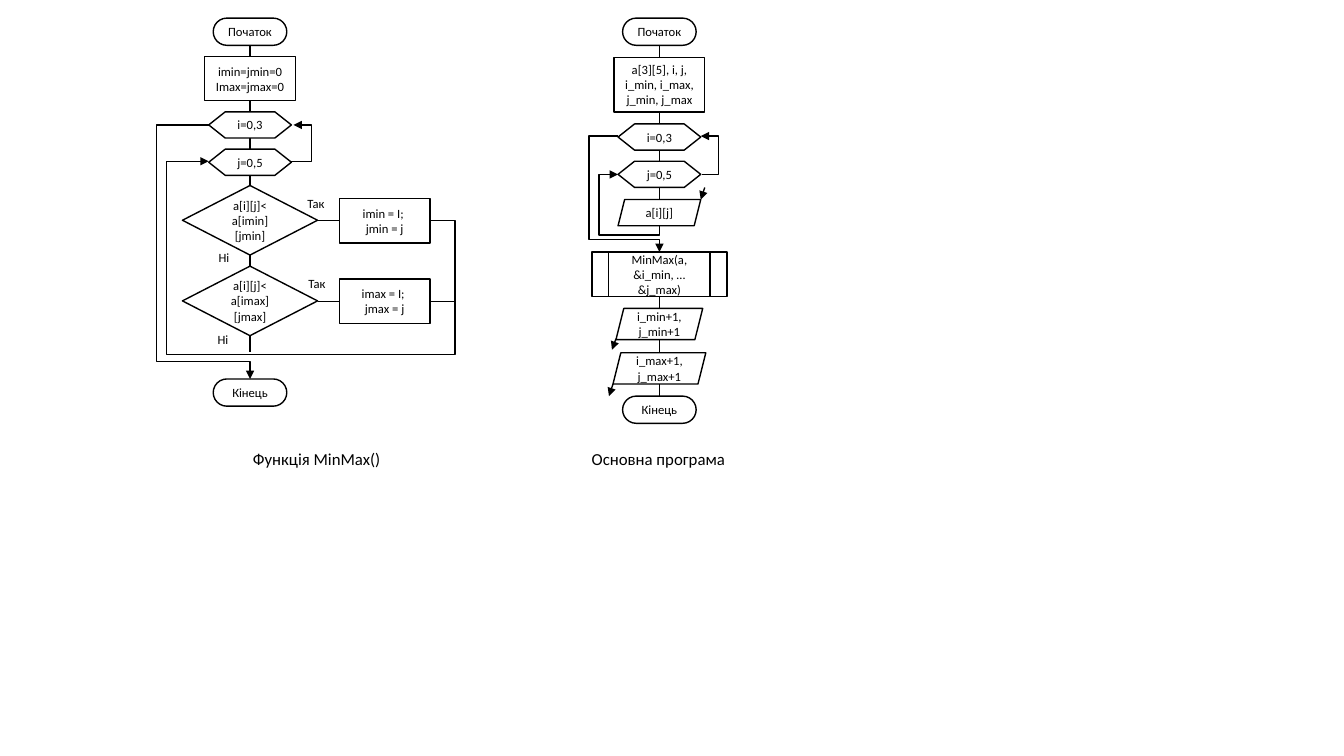
from lxml.etree import SubElement
from pptx import Presentation
from pptx.dml.color import RGBColor
from pptx.enum.shapes import MSO_CONNECTOR, MSO_SHAPE
from pptx.enum.text import MSO_ANCHOR, MSO_AUTO_SIZE, PP_ALIGN
from pptx.oxml.ns import qn
from pptx.util import Inches, Pt

BLACK = RGBColor(0x00, 0x00, 0x00)
WHITE = RGBColor(0xFF, 0xFF, 0xFF)
FONT = "Calibri"

# The grid has 100 steps to the inch; both flowcharts hang on a vertical axis
STEP = Inches(0.01)
FUNCTION_AXIS = 248
ACTION_AXIS = 381.5
MAIN_AXIS = 654

TERMINAL = MSO_SHAPE.ROUNDED_RECTANGLE
PROCESS = MSO_SHAPE.RECTANGLE
LOOP = MSO_SHAPE.FLOWCHART_PREPARATION
DECISION = MSO_SHAPE.DIAMOND
DATA = MSO_SHAPE.PARALLELOGRAM
SUBROUTINE = MSO_SHAPE.FLOWCHART_PREDEFINED_PROCESS

presentation = Presentation()
presentation.slide_width = 1333 * STEP
presentation.slide_height = 750 * STEP
slide = presentation.slides.add_slide(presentation.slide_layouts[6])


def write(shape, text, size, alignment):
    shape.text_frame.text = text
    for paragraph in shape.text_frame.paragraphs:
        paragraph.alignment = alignment
        for run in paragraph.runs:
            run.font.name = FONT
            run.font.size = Pt(size)
            run.font.color.rgb = BLACK


def connect(begin, end, kind=MSO_CONNECTOR.STRAIGHT, arrow=False):
    connector = slide.shapes.add_connector(
        kind, *(int(value * STEP) for value in (*begin, *end)))
    connector.line.color.rgb = BLACK
    connector.line.width = Pt(1)
    if arrow:
        SubElement(connector.line._get_or_add_ln(), qn("a:tailEnd"), type="triangle")
    SubElement(connector._element.spPr, qn("a:effectLst"))
    return connector


# Chains of blocks: kind, top, width, height, text
chains = [
    (FUNCTION_AXIS, [
        (TERMINAL, 18, 73, 27, "Початок"),
        (PROCESS, 56, 90, 44, "imin=jmin=0\nImax=jmax=0"),
        (LOOP, 111, 82, 26, "i=0,3"),
        (LOOP, 148, 82, 26, "j=0,5"),
        (DECISION, 184, 134, 69, "a[i][j]<\na[imin]\n[jmin]"),
        (DECISION, 264, 134, 69, "a[i][j]<\na[imax]\n[jmax]"),
    ]),
    (FUNCTION_AXIS, [(TERMINAL, 376, 73, 27, "Кінець")]),
    (ACTION_AXIS, [(PROCESS, 197, 90, 44, "imin = I; \njmin = j")]),
    (ACTION_AXIS, [(PROCESS, 277, 90, 44, "imax = I; \njmax = j")]),
    (MAIN_AXIS, [
        (TERMINAL, 18, 73, 27, "Початок"),
        (PROCESS, 57, 90, 54, "a[3][5], i, j, i_min, i_max, j_min, j_max"),
        (LOOP, 123, 82, 26, "i=0,3"),
        (LOOP, 160, 82, 26, "j=0,5"),
        (DATA, 198, 82, 26, "a[i][j]"),
    ]),
    (MAIN_AXIS, [
        (SUBROUTINE, 250, 134, 44, "MinMax(a, &i_min, … &j_max)"),
        (DATA, 306, 86, 31, "i_min+1, j_min+1"),
        (DATA, 350, 92, 31, "i_max+1, j_max+1"),
        (TERMINAL, 393, 73, 27, "Кінець"),
    ]),
]
for axis, blocks in chains:
    previous_bottom = None
    for kind, top, width, height, text in blocks:
        shape = slide.shapes.add_shape(
            kind, int((axis - width / 2) * STEP), top * STEP, width * STEP, height * STEP)
        shape.shadow.inherit = False
        shape.fill.solid()
        shape.fill.fore_color.rgb = WHITE
        shape.line.color.rgb = BLACK
        shape.line.width = Pt(1)
        if kind == TERMINAL:
            shape.adjustments[0] = 0.5
        shape.text_frame.vertical_anchor = MSO_ANCHOR.MIDDLE
        write(shape, text, 9, PP_ALIGN.CENTER)
        if previous_bottom is not None:
            connect((axis, previous_bottom), (axis, top))
        previous_bottom = top + height

# Branches of the decisions
for row in (219, 299):
    connect((315, row), (336, row))
connect((427, 299), (451, 299))
connect((FUNCTION_AXIS, 333), (FUNCTION_AXIS, 349))

# Short arrows beside the input and output blocks
for begin, end in [((699, 186), (695, 198)),
                   ((611, 336), (607, 347)),
                   ((608, 381), (604, 393))]:
    connect(begin, end, arrow=True)

# Loop routes: begin, end, bends as shares of the box, quarter turns
routes = [
    ((427, 219), (207, 160), (-0.11, -2.25, 1.19), 0),
    ((289, 160), (291, 124), (10,), 0),
    ((207, 124), (FUNCTION_AXIS, 376), (-1.27, 0.93), 0),
    ((659, 178), (608, 219), (-0.18, 1.46), 1),
    ((696, 173), (695, 135), (-17,), 0),
    ((613, 135), (MAIN_AXIS, 250), (-0.7, 0.89), 0),
]
for begin, end, bends, quarter_turns in routes:
    connector = connect(begin, end, MSO_CONNECTOR.ELBOW, arrow=True)
    properties = connector._element.spPr
    if quarter_turns:
        properties.find(qn("a:xfrm")).set("rot", str(quarter_turns * 90 * 60000))
    geometry = properties.find(qn("a:prstGeom"))
    geometry.set("prst", f"bentConnector{len(bends) + 2}")
    guides = geometry.find(qn("a:avLst"))
    for number, bend in enumerate(bends, start=1):
        SubElement(guides, qn("a:gd"), name=f"adj{number}",
                   fmla=f"val {round(bend * 100000)}")

# Branch labels and captions: left, top, width, height, text, size
labels = [
    (295, 189, 38, 25, "Так", 9),
    (296, 269, 38, 25, "Так", 9),
    (207, 243, 31, 25, "Ні", 9),
    (206, 324, 31, 25, "Ні", 9),
    (241, 440, 148, 30, "Функція MinMax()", 12),
    (577, 440, 154, 30, "Основна програма", 12),
]
for left, top, width, height, text, size in labels:
    label = slide.shapes.add_textbox(left * STEP, top * STEP, width * STEP, height * STEP)
    label.text_frame.word_wrap = False
    label.text_frame.auto_size = MSO_AUTO_SIZE.SHAPE_TO_FIT_TEXT
    write(label, text, size, PP_ALIGN.LEFT)

presentation.save("out.pptx")
